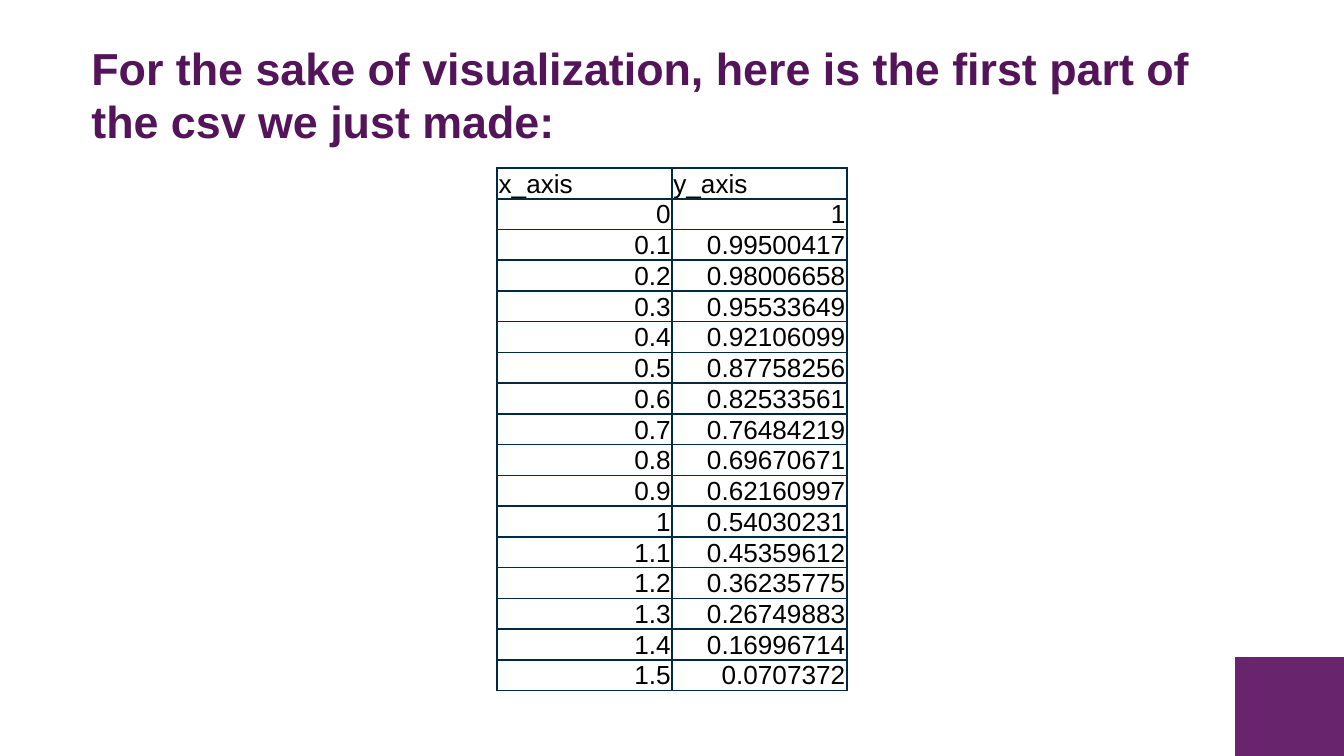
from typing import NamedTuple

from lxml.etree import SubElement
from pptx import Presentation
from pptx.dml.color import RGBColor
from pptx.enum.shapes import MSO_SHAPE
from pptx.enum.text import MSO_ANCHOR, MSO_AUTO_SIZE, PP_ALIGN
from pptx.oxml.ns import qn
from pptx.util import Inches, Pt

WIDE = 10
HIGH = WIDE * 9 / 16
FONT = "Arial"
COL, ROW = 1.3, 0.22
COSINES = [
    "1", "0.99500417", "0.98006658", "0.95533649", "0.92106099", "0.87758256",
    "0.82533561", "0.76484219", "0.69670671", "0.62160997", "0.54030231",
    "0.45359612", "0.36235775", "0.26749883", "0.16996714", "0.0707372",
]


class Box(NamedTuple):
    """Left, top, width and height as percentages of the slide."""
    left: float
    top: float
    width: float
    height: float

    def place(self) -> list[int]:
        sides = (WIDE, HIGH, WIDE, HIGH)
        return [Inches(part * side / 100) for part, side in zip(self, sides)]


class Pair(NamedTuple):
    x: str
    y: str
    align: PP_ALIGN = PP_ALIGN.RIGHT


def tint(code: str) -> RGBColor:
    return RGBColor.from_string(code)


def style(para, size: int, code: str, bold: bool = False) -> None:
    font = para.font
    font.name, font.size, font.bold = FONT, Pt(size), bold
    font.color.rgb = tint(code)


def border(cell, code: str, width: float) -> None:
    props = cell._tc.get_or_add_tcPr()
    for side in ("lnL", "lnR", "lnT", "lnB"):
        line = SubElement(props, qn(f"a:{side}"), w=str(Pt(width)))
        fill = SubElement(line, qn("a:solidFill"))
        SubElement(fill, qn("a:srgbClr"), val=code)


def add_title(slide, text: str, box: Box) -> None:
    title = slide.shapes.title
    title.left, title.top, title.width, title.height = box.place()
    frame = title.text_frame
    frame.text = text
    frame.word_wrap, frame.auto_size = True, MSO_AUTO_SIZE.NONE
    frame.vertical_anchor = MSO_ANCHOR.TOP
    frame.margin_left = frame.margin_right = 0
    frame.margin_top = frame.margin_bottom = 0
    para = frame.paragraphs[0]
    para.alignment, para.line_spacing = PP_ALIGN.LEFT, 1.0
    style(para, 24, "54145A", True)


def add_block(slide, box: Box, code: str) -> None:
    block = slide.shapes.add_shape(MSO_SHAPE.RECTANGLE, *box.place())
    block.shadow.inherit = False
    block.fill.solid()
    block.fill.fore_color.rgb = tint(code)
    block.line.fill.background()


def fill_cell(cell, text: str, align: PP_ALIGN) -> None:
    cell.text = text
    cell.vertical_anchor = MSO_ANCHOR.BOTTOM
    cell.margin_left = cell.margin_right = cell.margin_top = Inches(0.01)
    cell.margin_bottom = 0
    para = cell.text_frame.paragraphs[0]
    para.alignment = align
    style(para, 14, "000000")
    border(cell, "002A41", 1)
    cell.fill.background()


def add_grid(slide, pairs: list[Pair], left: float, top: float) -> None:
    size = (left, top, 2 * COL, len(pairs) * ROW)
    table = slide.shapes.add_table(len(pairs), 2, *map(Inches, size)).table
    table.first_row = table.horz_banding = False
    for row, pair in zip(table.rows, pairs):
        for cell, text in zip(row.cells, (pair.x, pair.y)):
            fill_cell(cell, text, pair.align)


def main() -> None:
    deck = Presentation()
    deck.slide_width, deck.slide_height = Inches(WIDE), Inches(HIGH)
    slide = deck.slides.add_slide(deck.slide_layouts[5])
    add_title(
        slide,
        "For the sake of visualization, here is the first part of "
        "the csv we just made:",
        Box(6.8, 5.33, 86.4, 16.7),
    )
    add_block(slide, Box(91.9, 86.93, 8.2, 13.16), "68246D")
    head = Pair("x_axis", "y_axis", PP_ALIGN.LEFT)
    body = [Pair(f"{step / 10:g}", y) for step, y in enumerate(COSINES)]
    add_grid(slide, [head, *body], (WIDE - 2 * COL) / 2, 1.25)
    deck.save("out.pptx")


if __name__ == "__main__":
    main()
